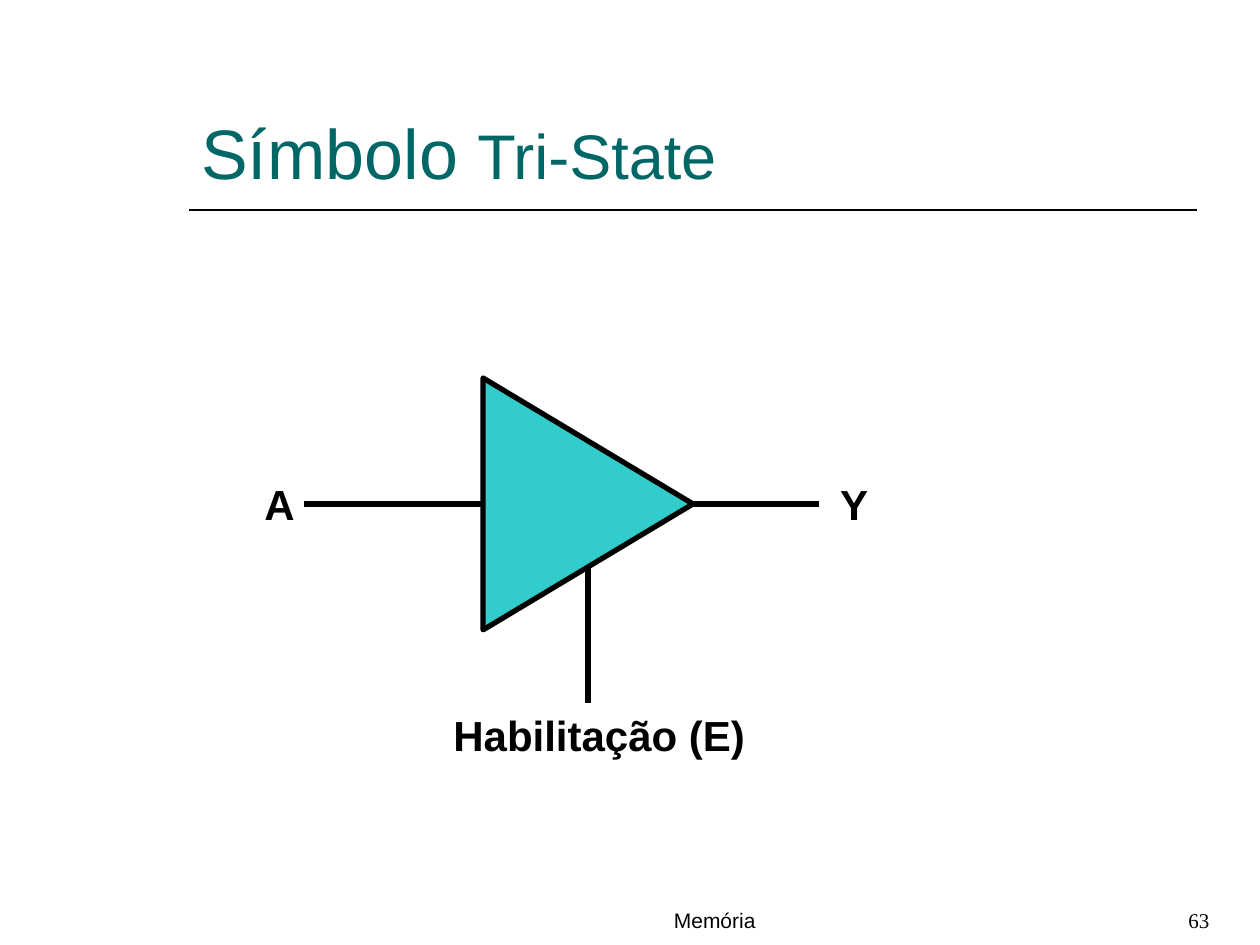
from lxml.etree import SubElement
from pptx import Presentation
from pptx.dml.color import RGBColor
from pptx.enum.shapes import MSO_CONNECTOR, MSO_SHAPE
from pptx.enum.text import MSO_ANCHOR
from pptx.oxml.ns import qn
from pptx.util import Pt

COLORS = {"ink": "000000", "title": "006666", "gate": "33CCCC"}


def color(name):
    """Return the palette colour as RGB."""
    return RGBColor.from_string(COLORS[name])


def add_text(slide, box, runs, font="Arial", ink="ink", bold=False, anchor=MSO_ANCHOR.TOP):
    """Write one paragraph of (text, size) runs in a box."""
    frame = slide.shapes.add_textbox(*map(Pt, box)).text_frame
    frame.word_wrap = True
    frame.vertical_anchor = anchor
    paragraph = frame.paragraphs[0]
    paragraph.font.name = font
    paragraph.font.bold = bold
    paragraph.font.color.rgb = color(ink)
    paragraph.font.size = Pt(runs[0][1])
    for wording, size in runs:
        run = paragraph.add_run()
        run.text = wording
        if size != runs[0][1]:
            run.font.size = Pt(size)


def add_line(slide, start, end, weight):
    """Draw a straight black line without a shadow."""
    line = slide.shapes.add_connector(MSO_CONNECTOR.STRAIGHT, *map(Pt, start + end))
    line.line.color.rgb = color("ink")
    line.line.width = Pt(weight)
    SubElement(line._element.spPr, qn("a:effectLst"))


def add_header(slide, left, top, width, height):
    """Place the title and the rule below it."""
    add_line(slide, (left, top + height + 6), (left + width, top + height + 6), 1)
    add_text(slide, (left, top, width, height), [("Símbolo ", 40), ("Tri-State", 36)],
             ink="title", anchor=MSO_ANCHOR.BOTTOM)


def add_buffer(slide, left, top, width, height):
    """Draw the tri-state buffer around its triangle's box, with its three signals."""
    middle, center, right = top + height / 2, left + width / 2, left + width
    gate = slide.shapes.add_shape(
        MSO_SHAPE.FLOWCHART_EXTRACT,
        Pt(center - height / 2), Pt(middle - width / 2), Pt(height), Pt(width))
    gate.rotation = 90
    gate.shadow.inherit = False
    gate.fill.solid()
    gate.fill.fore_color.rgb = color("gate")
    gate.line.color.rgb = color("ink")
    gate.line.width = Pt(3)

    enable_end = top + height + 42
    for start, end in [
        ((right, middle), (right + 72, middle)),
        ((left, middle), (left - 102, middle)),
        ((center, middle + height / 4), (center, enable_end)),
    ]:
        add_line(slide, start, end, 3)
    for signal, x, y, label_width in [
        ("A", left - 132, middle - 18, 32),
        ("Y", right + 77, middle - 18, 31),
        ("Habilitação (E)", left - 24, enable_end, 183),
    ]:
        add_text(slide, (x, y, label_width, 36), [(signal, 24)], bold=True)


def add_footer(slide, left, top, width, height):
    """Place the course topic and the page number."""
    add_text(slide, (left + width - 64, top, 64, height), [("63", 12)], font="Times New Roman")
    add_text(slide, (left, top, 62, height), [("Memória", 12)])


def main():
    """Build the slide and save it."""
    deck = Presentation()
    deck.slide_width, deck.slide_height = Pt(720), Pt(540)
    slide = deck.slides.add_slide(deck.slide_layouts[6])
    add_header(slide, 108, 24, 576, 90)
    add_buffer(slide, 276, 216, 120, 144)
    add_footer(slide, 378, 515, 358, 22)
    deck.save("out.pptx")


if __name__ == "__main__":
    main()
